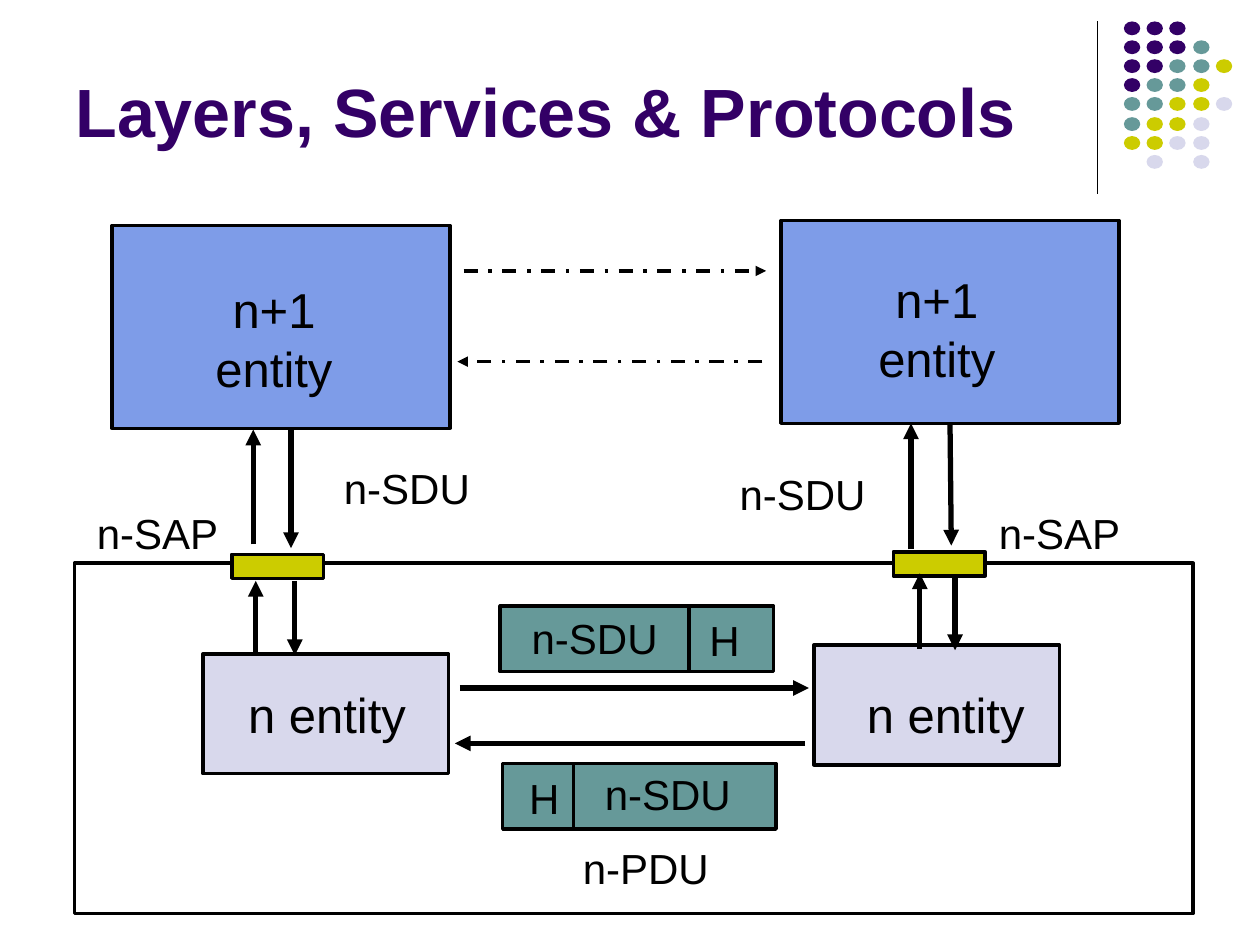
from typing import NamedTuple, Optional

from pptx import Presentation
from pptx.dml.color import RGBColor
from pptx.enum.dml import MSO_LINE
from pptx.enum.shapes import MSO_CONNECTOR, MSO_SHAPE
from pptx.enum.text import MSO_ANCHOR, MSO_AUTO_SIZE, PP_ALIGN
from pptx.oxml.ns import qn
from pptx.util import Pt
from lxml import etree

PX = 9144  # 100 px to the inch
RECT, OVAL = MSO_SHAPE.RECTANGLE, MSO_SHAPE.OVAL
STRAIGHT = MSO_CONNECTOR.STRAIGHT
DASH = MSO_LINE.DASH_DOT
LEFT, CENTER = PP_ALIGN.LEFT, PP_ALIGN.CENTER
TOP, MIDDLE, BOTTOM = MSO_ANCHOR.TOP, MSO_ANCHOR.MIDDLE, MSO_ANCHOR.BOTTOM
GROW, FIXED = MSO_AUTO_SIZE.SHAPE_TO_FIT_TEXT, MSO_AUTO_SIZE.NONE
COLORS = {
    "black": "000000",
    "purple": "330066",
    "teal": "669999",
    "lime": "CCCC00",
    "pale": "D8D8EC",
    "blue": "7E9CE8",
}


class Box(NamedTuple):
    x: int
    y: int
    w: int
    h: int
    fill: Optional[str] = None


class Line(NamedTuple):
    x1: int
    y1: int
    x2: int
    y2: int
    width: float = 3
    arrow: bool = True
    dash: bool = False


class Label(NamedTuple):
    text: str
    x: int
    y: int
    w: int
    h: int
    size: int = 24
    anchor: MSO_ANCHOR = MIDDLE
    color: str = "black"
    align: PP_ALIGN = CENTER
    bold: bool = False
    wrap: bool = False
    fit: MSO_AUTO_SIZE = GROW


def rgb(name: str) -> RGBColor:
    return RGBColor.from_string(COLORS[name])


def draw_box(shapes, box: Box, kind=RECT, edge: bool = True):
    shape = shapes.add_shape(kind, *(v * PX for v in box[:4]))
    shape.shadow.inherit = False
    if box.fill:
        shape.fill.solid()
        shape.fill.fore_color.rgb = rgb(box.fill)
    else:
        shape.fill.background()
    if edge:
        shape.line.color.rgb = rgb("black")
        shape.line.width = Pt(2)
    else:
        shape.line.fill.background()
    return shape


def draw_line(shapes, line: Line):
    link = shapes.add_connector(STRAIGHT, *(v * PX for v in line[:4]))
    link.line.color.rgb = rgb("black")
    link.line.width = Pt(line.width)
    if line.dash:
        link.line.dash_style = DASH
    if line.arrow:
        stroke = link.line._get_or_add_ln()
        etree.SubElement(stroke, qn("a:tailEnd"), type="triangle")
    etree.SubElement(link._element.spPr, qn("a:effectLst"))
    return link


def draw_label(shapes, label: Label) -> None:
    frame = shapes.add_textbox(*(v * PX for v in label[1:5])).text_frame
    frame.word_wrap = label.wrap
    frame.auto_size = label.fit
    frame.vertical_anchor = label.anchor
    frame.text = label.text
    for para in frame.paragraphs:
        para.alignment = label.align
        para.font.name = "Arial"
        para.font.size = Pt(label.size)
        para.font.bold = label.bold
        para.font.color.rgb = rgb(label.color)


# Corner dots, one string a row
DOTS = ["PPP", "PPPT", "PPTTY", "PTTY", "TTYYL", "TYYL", "YYLL", " L L"]
TINTS = {"P": "purple", "T": "teal", "Y": "lime", "L": "pale"}

UPPER = [Box(89, 179, 268, 161, "blue"), Box(620, 175, 268, 161, "blue")]
LOWER = [
    Box(59, 447, 888, 278),
    Box(161, 519, 195, 95, "pale"),
    Box(646, 512, 195, 95, "pale"),
    Box(397, 481, 217, 52, "teal"),
    Box(399, 606, 217, 52, "teal"),
    Box(184, 440, 73, 19, "lime"),
    Box(709, 438, 73, 19, "lime"),
]

LINES = [
    # Peer protocol
    Line(368, 215, 608, 215, 2, dash=True),
    Line(605, 287, 363, 287, 2, dash=True),
    Line(365, 546, 642, 546),
    Line(639, 590, 361, 590),
    # Service access, left and right
    Line(201, 432, 201, 341),
    Line(231, 341, 231, 435),
    Line(203, 520, 203, 461),
    Line(234, 461, 234, 520),
    Line(723, 436, 723, 336),
    Line(730, 515, 730, 455),
    Line(758, 457, 758, 516),
    # Header dividers
    Line(547, 481, 547, 532, 2, arrow=False),
    Line(455, 607, 455, 658, 2, arrow=False),
]

LABELS = [
    Label("n+1\nentity", 161, 217, 113, 103, 28, TOP),
    Label("n+1\nentity", 687, 209, 113, 103, 28, TOP),
    Label("n entity", 187, 538, 145, 56, 28, TOP),
    Label("n entity", 678, 538, 145, 56, 28, TOP),
    Label("n-SAP", 67, 398, 116, 50),
    Label("n-SAP", 783, 398, 116, 50),
    Label("n-SDU", 263, 362, 120, 50),
    Label("n-SDU", 577, 367, 120, 50),
    Label("n-SDU", 412, 481, 120, 50),
    Label("H", 553, 483, 44, 50),
    Label("H", 410, 608, 44, 50),
    Label("n-SDU", 470, 605, 120, 50),
    Label("n-PDU", 450, 664, 125, 50, wrap=True),
    Label("Layers, Services & Protocols", 50, 13, 825, 112, 39, BOTTOM,
          "purple", LEFT, bold=True, wrap=True, fit=FIXED),
]


def main() -> None:
    deck = Presentation()
    deck.slide_width, deck.slide_height = 1000 * PX, 750 * PX
    shapes = deck.slides.add_slide(deck.slide_layouts[6]).shapes

    # Corner ornament
    draw_line(shapes, Line(871, 17, 871, 154, 0.75, arrow=False))
    group = shapes.add_group_shape().shapes
    for r, row in enumerate(DOTS):
        for c, key in enumerate(row):
            if key in TINTS:
                dot = Box(892 + round(18.25 * c), 17 + round(15.1 * r),
                          13, 11, TINTS[key])
                draw_box(group, dot, OVAL, edge=False)

    # Boxes
    peers = [draw_box(shapes, box) for box in UPPER]
    for box in LOWER:
        draw_box(shapes, box)

    # Arrows and dividers
    for line in LINES:
        draw_line(shapes, line)
    down = draw_line(shapes, Line(754, 336, 755, 433))
    down.begin_connect(peers[1], 2)

    # Text
    for label in LABELS:
        draw_label(shapes, label)

    deck.save("out.pptx")


if __name__ == "__main__":
    main()
